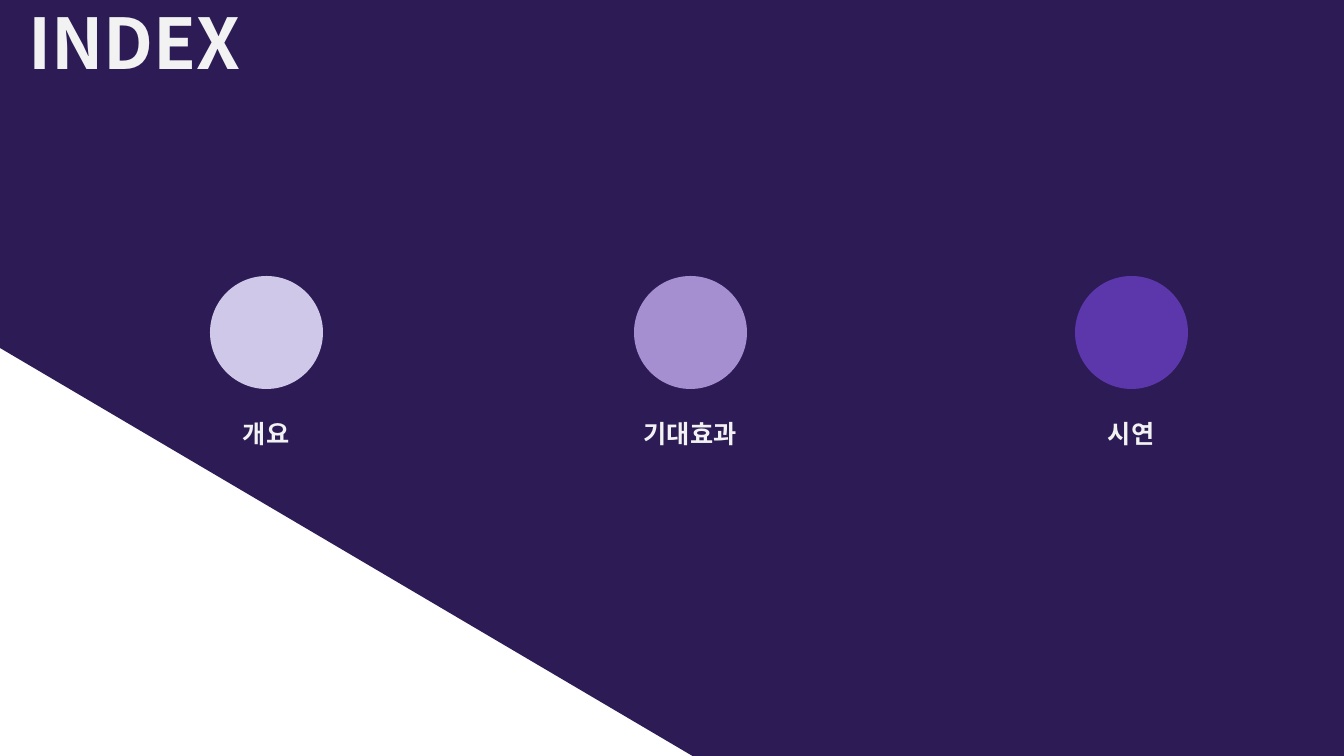
from pptx import Presentation
from pptx.dml.color import RGBColor
from pptx.enum.shapes import MSO_SHAPE
from pptx.enum.text import MSO_AUTO_SIZE, PP_ALIGN
from pptx.util import Pt

PX = 9071


def colour(value):
    return RGBColor.from_string(value)


class IndexSlide:
    font = "Noto Sans CJK KR"
    ink = "F2F2F2"

    def __init__(self, deck):
        self.slide = deck.slides.add_slide(deck.slide_layouts[6])
        self.shapes = self.slide.shapes

    def background(self, value):
        fill = self.slide.background.fill
        fill.solid()
        fill.fore_color.rgb = colour(value)

    def paint(self, shape, value):
        shape.shadow.inherit = False
        shape.fill.solid()
        shape.fill.fore_color.rgb = colour(value)
        shape.line.fill.background()

    def polygon(self, points, value):
        builder = self.shapes.build_freeform(*points[0], scale=PX)
        builder.add_line_segments(points[1:], close=True)
        self.paint(builder.convert_to_shape(), value)

    def circle(self, left, top, size, value):
        box = [PX * n for n in (left, top, size, size)]
        self.paint(self.shapes.add_shape(MSO_SHAPE.FLOWCHART_CONNECTOR, *box), value)

    def text(self, wording, left, top, width, height, size, align=PP_ALIGN.LEFT, inset=True):
        box = self.shapes.add_textbox(*[PX * n for n in (left, top, width, height)])
        frame = box.text_frame
        frame.word_wrap = True
        frame.auto_size = MSO_AUTO_SIZE.SHAPE_TO_FIT_TEXT
        if not inset:
            frame.margin_left = frame.margin_right = 0
            frame.margin_top = frame.margin_bottom = 0
        frame.text = wording
        paragraph = frame.paragraphs[0]
        paragraph.alignment = align
        for run in paragraph.runs:
            run.font.name = self.font
            run.font.size = Pt(size)
            run.font.bold = True
            run.font.color.rgb = colour(self.ink)


def main():
    deck = Presentation()
    deck.slide_width, deck.slide_height = 1344 * PX, 756 * PX
    index = IndexSlide(deck)
    index.background("FFFFFF")
    index.polygon([(0, -11), (1344, -11), (1344, 758), (696, 758), (0, 348)], "2D1B55")
    index.text("INDEX", 28, 0, 651, 85, 50, inset=False)

    circle_size, label_width = 113, 196
    topics = [
        ("개요", 210, "D0C8E8"),
        ("기대효과", 634, "A58FD1"),
        ("시연", 1075, "5B37AB"),
    ]
    for topic, left, value in topics:
        index.circle(left, 276, circle_size, value)
        label_left = left + (circle_size - label_width) // 2
        index.text(topic, label_left, 413, label_width, 40, 18, PP_ALIGN.CENTER)

    deck.save("out.pptx")


if __name__ == "__main__":
    main()
